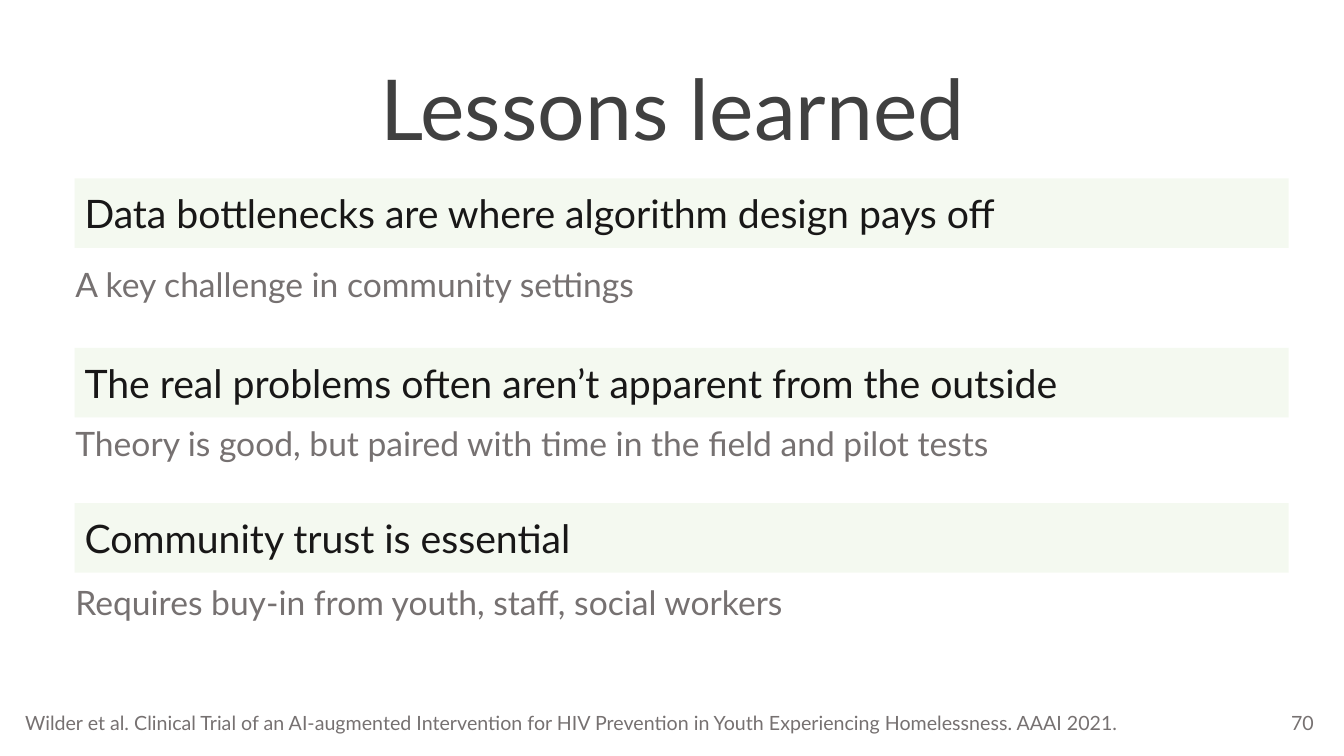
from pptx import Presentation
from pptx.dml.color import RGBColor
from pptx.enum.shapes import MSO_SHAPE
from pptx.enum.text import MSO_ANCHOR, PP_ALIGN
from pptx.oxml.ns import qn
from pptx.util import Pt
from lxml import etree

PX = 9144  # 100 px to the inch
RECTANGLE = MSO_SHAPE.RECTANGLE
TOP, MIDDLE = MSO_ANCHOR.TOP, MSO_ANCHOR.MIDDLE
LEFT, CENTER, RIGHT = PP_ALIGN.LEFT, PP_ALIGN.CENTER, PP_ALIGN.RIGHT

FONT = "Lato"
TITLE_GRAY = RGBColor(0x40, 0x40, 0x40)
LESSON_BLACK = RGBColor(0x18, 0x17, 0x17)
DETAIL_GRAY = RGBColor(0x76, 0x71, 0x71)
PALE_GREEN = RGBColor(0xE2, 0xF0, 0xD9)

LESSONS = [
    # band top, lesson, detail top, detail width, detail
    (177, "Data bottlenecks are where algorithm design pays off",
     257, 896, "A key challenge in community settings"),
    (345, "The real problems often aren’t apparent from the outside",
     415, 1036, "Theory is good, but paired with time in the field and pilot tests"),
    (499, "Community trust is essential",
     572, 1163, "Requires buy-in from youth, staff, social workers"),
]

deck = Presentation()
deck.slide_width, deck.slide_height = 1333 * PX, 750 * PX
page = deck.slides.add_slide(deck.slide_layouts[6])


def write(box, text, size, color, align=LEFT, anchor=TOP):
    """Fill the shape with one styled paragraph and return that paragraph."""
    frame = box.text_frame
    frame.word_wrap = True
    frame.vertical_anchor = anchor
    para = frame.paragraphs[0]
    para.alignment = align
    span = para.add_run()
    span.text = text
    span.font.name = FONT
    span.font.size = Pt(size)
    span.font.color.rgb = color
    return para


def add_text_box(left, top, width, height):
    return page.shapes.add_textbox(left * PX, top * PX, width * PX, height * PX)


title = write(add_text_box(92, 40, 1150, 145), "Lessons learned",
              60, TITLE_GRAY, CENTER, MIDDLE)
title.line_spacing = 0.9

write(add_text_box(1013, 697, 300, 40), "70", 14, DETAIL_GRAY, RIGHT, MIDDLE)

for band_top, lesson, detail_top, detail_width, detail in LESSONS:
    band = page.shapes.add_shape(RECTANGLE, 74 * PX, band_top * PX, 1204 * PX, 69 * PX)
    band.shadow.inherit = False
    band.line.fill.background()
    band.fill.solid()
    band.fill.fore_color.rgb = PALE_GREEN
    fill_color = band.fill._xPr.find(qn("a:solidFill"))[0]
    etree.SubElement(fill_color, qn("a:alpha")).set("val", "37000")
    write(band, lesson, 28, LESSON_BLACK, anchor=MIDDLE)

    para = write(add_text_box(15, detail_top, detail_width, 50), detail, 24, DETAIL_GRAY)
    para.level = 1
    indent = para._p.get_or_add_pPr()
    indent.set("marL", str(50 * PX))
    indent.set("indent", "0")

write(add_text_box(15, 700, 1207, 34),
      "Wilder et al. Clinical Trial of an AI-augmented Intervention for HIV Prevention "
      "in Youth Experiencing Homelessness. AAAI 2021.", 14, DETAIL_GRAY)

deck.save("out.pptx")
